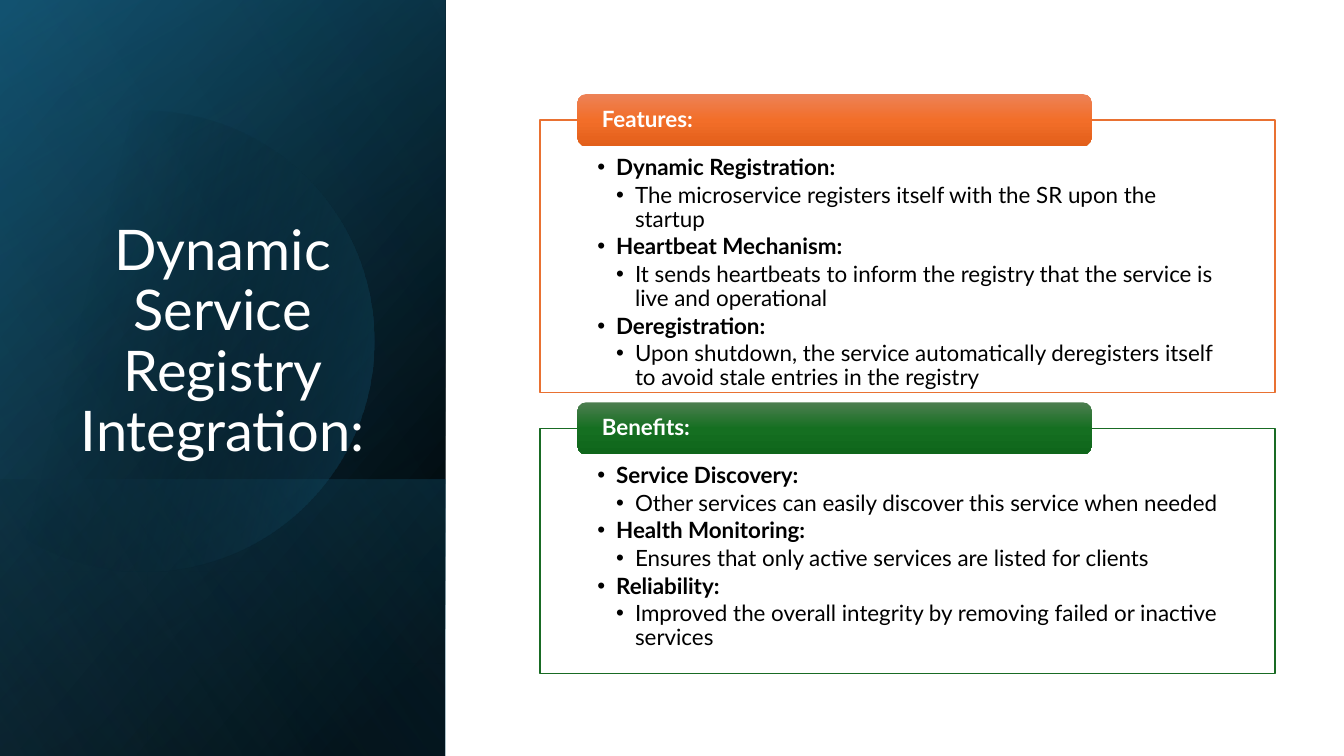
from dataclasses import dataclass
from math import acos, cos, sin

from lxml.etree import SubElement
from pptx import Presentation
from pptx.dml.color import RGBColor
from pptx.enum.shapes import MSO_SHAPE
from pptx.enum.text import MSO_ANCHOR, MSO_AUTO_SIZE, PP_ALIGN
from pptx.oxml.ns import qn
from pptx.util import Inches, Length, Pt

COLUMNS, ROWS = 160, 90
SLIDE_WIDTH, SLIDE_HEIGHT = Inches(13.33), Inches(7.5)
FONT = "Lato"

WHITE = RGBColor(0xFF, 0xFF, 0xFF)
BLACK = RGBColor(0x00, 0x00, 0x00)
DEEP_TEAL = RGBColor(0x10, 0x48, 0x62)
TEAL = RGBColor(0x15, 0x60, 0x82)
SKY = RGBColor(0x46, 0xB1, 0xE1)
ORANGE = RGBColor(0xE9, 0x71, 0x32)
ORANGE_LIGHT = RGBColor(0xED, 0x82, 0x57)
ORANGE_MID = RGBColor(0xF2, 0x6E, 0x29)
ORANGE_DARK = RGBColor(0xE2, 0x5F, 0x1A)
GREEN = RGBColor(0x19, 0x6B, 0x24)
GREEN_LIGHT = RGBColor(0x4D, 0x7E, 0x50)
GREEN_MID = RGBColor(0x15, 0x6F, 0x21)
GREEN_DARK = RGBColor(0x0F, 0x66, 0x1B)

SIDEBAR_COLUMNS = 53
PANEL_LEFT, PANEL_COLUMNS = 64.3, 87.5
TAB_LEFT, TAB_COLUMNS, TAB_ROWS = 68.75, 61.2, 6.2
BULLET_STEP = 2.25


@dataclass(frozen=True)
class Stop:
    position: int
    color: RGBColor
    opacity: int = 100


@dataclass(frozen=True)
class Layer:
    top: float
    rows: float
    angle: int
    stops: tuple[Stop, ...]


@dataclass(frozen=True)
class Panel:
    heading: str
    top: float
    rows: float
    border: RGBColor
    tab_stops: tuple[Stop, ...]
    points: tuple[tuple[str, str], ...]


LAYERS_BELOW = (
    Layer(0, 90, 50, (Stop(8, BLACK), Stop(100, DEEP_TEAL))),
    Layer(0, 90, 30, (Stop(0, BLACK, 0), Stop(99, TEAL, 46))),
    Layer(57.1, 32.9, 130, (Stop(2, TEAL, 29), Stop(100, BLACK, 30))),
)
LAYER_ABOVE = Layer(0, 90, 120, (Stop(0, BLACK, 0), Stop(99, SKY, 11)))

PANELS = (
    Panel(
        "Features:", 14.3, 32.4, ORANGE,
        (Stop(0, ORANGE_LIGHT), Stop(50, ORANGE_MID), Stop(100, ORANGE_DARK)),
        (
            ("Dynamic Registration:",
             "The microservice registers itself with the SR upon the startup"),
            ("Heartbeat Mechanism:",
             "It sends heartbeats to inform the registry that the service is live and operational"),
            ("Deregistration:",
             "Upon shutdown, the service automatically deregisters itself to avoid stale entries in the registry"),
        ),
    ),
    Panel(
        "Benefits:", 51, 29.2, GREEN,
        (Stop(0, GREEN_LIGHT), Stop(50, GREEN_MID), Stop(100, GREEN_DARK)),
        (
            ("Service Discovery:",
             "Other services can easily discover this service when needed"),
            ("Health Monitoring:",
             "Ensures that only active services are listed for clients"),
            ("Reliability:",
             "Improved the overall integrity by removing failed or inactive services"),
        ),
    ),
)


def across(columns: float) -> Length:
    return Length(round(SLIDE_WIDTH * columns / COLUMNS))


def down(rows: float) -> Length:
    return Length(round(SLIDE_HEIGHT * rows / ROWS))


def fill_gradient(shape, stops: tuple[Stop, ...], angle: int) -> None:
    shape.shadow.inherit = False
    shape.line.fill.background()
    shape.fill.background()
    empty_fill = shape.element.spPr.find(qn("a:noFill"))
    gradient = SubElement(shape.element.spPr, qn("a:gradFill"), rotWithShape="1")
    empty_fill.getparent().replace(empty_fill, gradient)
    stop_list = SubElement(gradient, qn("a:gsLst"))
    for stop in stops:
        entry = SubElement(stop_list, qn("a:gs"), pos=str(stop.position * 1000))
        color = SubElement(entry, qn("a:srgbClr"), val=str(stop.color))
        if stop.opacity < 100:
            SubElement(color, qn("a:alpha"), val=str(stop.opacity * 1000))
    SubElement(gradient, qn("a:lin"), ang=str(angle * 60000), scaled="0")


def add_layer(slide, layer: Layer) -> None:
    width, height = across(SIDEBAR_COLUMNS), down(layer.rows)
    inset = (width - height) // 2
    shade = slide.shapes.add_shape(
        MSO_SHAPE.RECTANGLE, inset, down(layer.top) - inset, height, width)
    shade.rotation = 90
    shade.element.spPr.find(qn("a:xfrm")).set("flipH", "1")
    fill_gradient(shade, layer.stops, layer.angle)


def add_glow(slide) -> None:
    center_x, center_y, radius, cut = 17.2, 40.6, 27.4, -1.8
    reach = acos((cut - center_x) / radius)
    steps = 120
    angles = [reach * (2 * step / steps - 1) for step in range(steps + 1)]
    rim = [(across(center_x + radius * cos(angle)), down(center_y + radius * sin(angle)))
           for angle in angles]
    outline = slide.shapes.build_freeform(*rim[0])
    outline.add_line_segments(rim[1:], close=True)
    fill_gradient(outline.convert_to_shape(), (Stop(29, BLACK, 0), Stop(100, TEAL, 43)), 14)


def write(paragraph, text: str, *, size: int = 16, color: RGBColor = BLACK,
          bold: bool = False, align: PP_ALIGN = PP_ALIGN.LEFT,
          after: int = 0, bullet_level: int = 0) -> None:
    run = paragraph.add_run()
    run.text = text
    run.font.name, run.font.size, run.font.bold = FONT, Pt(size), bold
    run.font.color.rgb = color
    paragraph.alignment = align
    paragraph.line_spacing = 0.9
    paragraph.space_before = paragraph.space_after = Pt(0)
    properties = paragraph._p.get_or_add_pPr()
    if after:
        spacing = properties.find(qn("a:spcAft"))
        spacing.remove(spacing[0])
        SubElement(spacing, qn("a:spcPct"), val=str(after * 1000))
    if bullet_level:
        paragraph.level = bullet_level - 1
        properties.set("marL", str(across(BULLET_STEP * bullet_level)))
        properties.set("indent", str(-across(BULLET_STEP)))
        SubElement(properties, qn("a:buFont"), typeface="Arial")
        SubElement(properties, qn("a:buChar"), char="•")


def place(placeholder, left: float, top: float, columns: float, rows: float) -> None:
    placeholder.left, placeholder.top = across(left), down(top)
    placeholder.width, placeholder.height = across(columns), down(rows)
    placeholder.text_frame.auto_size = MSO_AUTO_SIZE.NONE
    placeholder.text_frame.word_wrap = True
    placeholder.element.getparent().append(placeholder.element)


def fill_panel(slide, body, panel: Panel) -> None:
    place(body, PANEL_LEFT, panel.top, PANEL_COLUMNS, panel.rows)
    body.fill.solid()
    body.fill.fore_color.rgb = WHITE
    body.line.color.rgb = panel.border
    body.line.width = Pt(1)
    content = body.text_frame
    content.vertical_anchor = MSO_ANCHOR.TOP
    content.margin_left = content.margin_right = across(6.8)
    content.margin_top, content.margin_bottom = down(4.3), down(1.4)
    lines = [line for point in panel.points for line in enumerate(point, start=1)]
    for index, (level, text) in enumerate(lines):
        paragraph = content.add_paragraph() if index else content.paragraphs[0]
        write(paragraph, text, bold=level == 1, after=15, bullet_level=level)

    tab = slide.shapes.add_shape(
        MSO_SHAPE.ROUNDED_RECTANGLE, across(TAB_LEFT), down(panel.top - TAB_ROWS / 2),
        across(TAB_COLUMNS), down(TAB_ROWS))
    fill_gradient(tab, panel.tab_stops, 90)
    label = tab.text_frame
    label.word_wrap = True
    label.vertical_anchor = MSO_ANCHOR.MIDDLE
    label.margin_left = label.margin_right = across(2.6)
    label.margin_top = label.margin_bottom = 0
    write(label.paragraphs[0], panel.heading, color=WHITE, bold=True)


def main() -> None:
    deck = Presentation()
    deck.slide_width, deck.slide_height = SLIDE_WIDTH, SLIDE_HEIGHT
    slide = deck.slides.add_slide(deck.slide_layouts[3])
    title, *bodies = slide.placeholders
    for layer in LAYERS_BELOW:
        add_layer(slide, layer)
    add_glow(slide)
    add_layer(slide, LAYER_ABOVE)
    place(title, 3.2, 24.5, 46.6, 31.3)
    title.text_frame.vertical_anchor = MSO_ANCHOR.BOTTOM
    write(title.text_frame.paragraphs[0], "Dynamic Service Registry Integration:",
          size=40, color=WHITE, align=PP_ALIGN.CENTER)
    for body, panel in zip(bodies, PANELS):
        fill_panel(slide, body, panel)
    deck.save("out.pptx")


if __name__ == "__main__":
    main()
